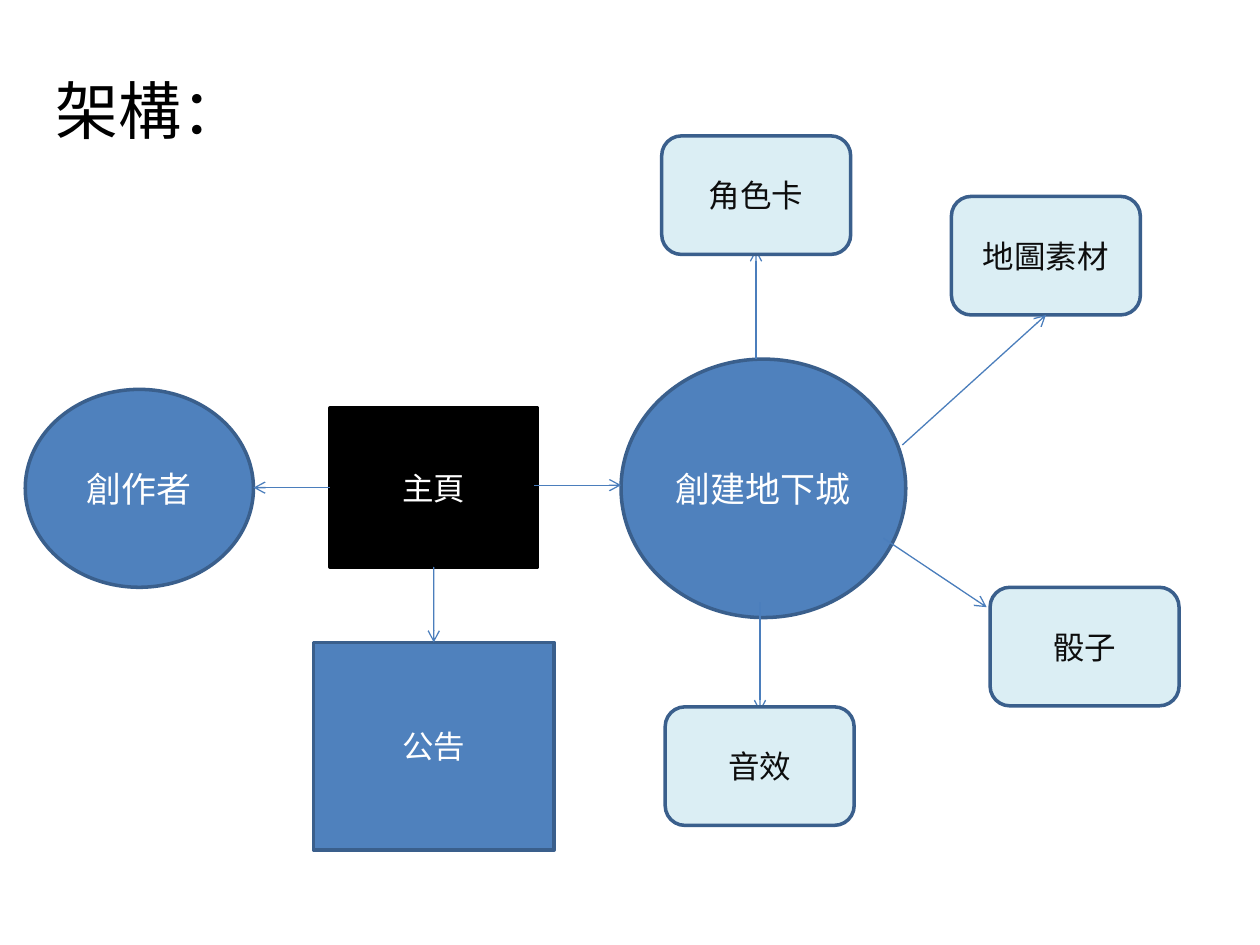
import dataclasses
import typing

import pptx
import pptx.dml.color
import pptx.enum.shapes
import pptx.enum.text
import pptx.oxml
import pptx.oxml.ns
import pptx.util

Cm = pptx.util.Cm
Shape = pptx.enum.shapes.MSO_SHAPE
Anchor = pptx.enum.text.MSO_ANCHOR
Align = pptx.enum.text.PP_ALIGN

FONT = "Calibri"
BLUE, EDGE, ARROW, PALE = "4F81BD", "3A5F8C", "4B7EBC", "DBEEF4"
BLACK, WHITE, INK = "000000", "FFFFFF", "0D0D0D"
TOP, LEFT, BOTTOM = 0, 1, 2


@dataclasses.dataclass(frozen=True)
class Node:
    label: str
    left: float
    top: float
    width: float = 3.81
    height: float = 2.39
    kind: typing.Any = Shape.ROUNDED_RECTANGLE
    fill: str = PALE
    edge: str = EDGE
    ink: str = INK
    size: int = 18


@dataclasses.dataclass(frozen=True)
class Link:
    start: tuple[float, float]
    end: tuple[float, float]
    begin_at: typing.Optional[tuple[str, int]] = None
    end_at: typing.Optional[tuple[str, int]] = None


HUBS = [
    Node("創作者", 0.51, 7.85, 4.6, 3.99, Shape.OVAL, BLUE, EDGE, WHITE, 20),
    Node("主頁", 6.65, 8.23, 4.19, 3.2, Shape.RECTANGLE, BLACK, BLACK, WHITE),
    Node("公告", 6.32, 12.95, 4.85, 4.19, Shape.RECTANGLE, BLUE, EDGE, WHITE),
    Node("創建地下城", 12.52, 7.24, 5.74, 5.21, Shape.OVAL, BLUE, EDGE, WHITE, 20),
    Node("地圖素材", 19.18, 3.96),
]
# These boxes cover the arrow tips that reach them
FEATURES = [
    Node("角色卡", 13.34, 2.74),
    Node("骰子", 19.96, 11.84),
    Node("音效", 13.41, 14.25),
]
LINKS = [
    Link((6.65, 9.83), (5.11, 9.83), begin_at=("主頁", LEFT)),
    Link((8.74, 11.43), (8.74, 12.95), ("主頁", BOTTOM), ("公告", TOP)),
    Link((10.77, 9.78), (12.52, 9.78)),
    Link((15.24, 7.24), (15.24, 5.03)),
    Link((18.19, 8.97), (21.08, 6.35), end_at=("地圖素材", BOTTOM)),
    Link((17.81, 10.85), (19.89, 12.24)),
    Link((15.32, 12.14), (15.32, 14.35)),
]


def color(value: str) -> pptx.dml.color.RGBColor:
    return pptx.dml.color.RGBColor.from_string(value)


def apply(target: typing.Any, values: dict[str, typing.Any]) -> None:
    for name, value in values.items():
        setattr(target, name, value)


def write(box: typing.Any, text: str, size: int, ink: str, align: typing.Any) -> None:
    apply(box.text_frame, {"word_wrap": True, "vertical_anchor": Anchor.MIDDLE})
    para = box.text_frame.paragraphs[0]
    para.alignment = align
    span = para.add_run()
    span.text = text
    apply(span.font, {"name": FONT, "size": pptx.util.Pt(size)})
    span.font.color.rgb = color(ink)


def draw_node(page: typing.Any, node: Node) -> typing.Any:
    box = page.shapes.add_shape(
        node.kind, Cm(node.left), Cm(node.top), Cm(node.width), Cm(node.height))
    box.shadow.inherit = False
    box.fill.solid()
    box.fill.fore_color.rgb = color(node.fill)
    box.line.color.rgb = color(node.edge)
    box.line.width = pptx.util.Pt(2)
    write(box, node.label, node.size, node.ink, Align.CENTER)
    return box


def draw_link(page: typing.Any, link: Link, boxes: dict[str, typing.Any]) -> None:
    arrow = page.shapes.add_connector(
        pptx.enum.shapes.MSO_CONNECTOR.STRAIGHT, *map(Cm, link.start + link.end))
    if link.begin_at:
        label, side = link.begin_at
        arrow.begin_connect(boxes[label], side)
    if link.end_at:
        label, side = link.end_at
        arrow.end_connect(boxes[label], side)
    arrow.line.color.rgb = color(ARROW)
    arrow.line.width = pptx.util.Pt(0.75)
    # Open arrowhead at the end, and no shadow
    head = pptx.oxml.parse_xml(
        f'<a:tailEnd {pptx.oxml.ns.nsdecls("a")} type="arrow"/>')
    arrow.line._get_or_add_ln().append(head)
    arrow._element.spPr.append(
        pptx.oxml.parse_xml(f'<a:effectLst {pptx.oxml.ns.nsdecls("a")}/>'))


def main() -> None:
    deck = pptx.Presentation()
    apply(deck, {"slide_width": Cm(25.4), "slide_height": Cm(19.05)})
    page = deck.slides.add_slide(deck.slide_layouts[6])

    # Title
    title = page.shapes.add_textbox(Cm(0.86), Cm(0.15), Cm(21.59), Cm(4.09))
    write(title, "架構：", 36, BLACK, Align.LEFT)

    # Site map
    boxes = {node.label: draw_node(page, node) for node in HUBS}
    for link in LINKS:
        draw_link(page, link, boxes)
    for node in FEATURES:
        draw_node(page, node)

    deck.save("out.pptx")


if __name__ == "__main__":
    main()
